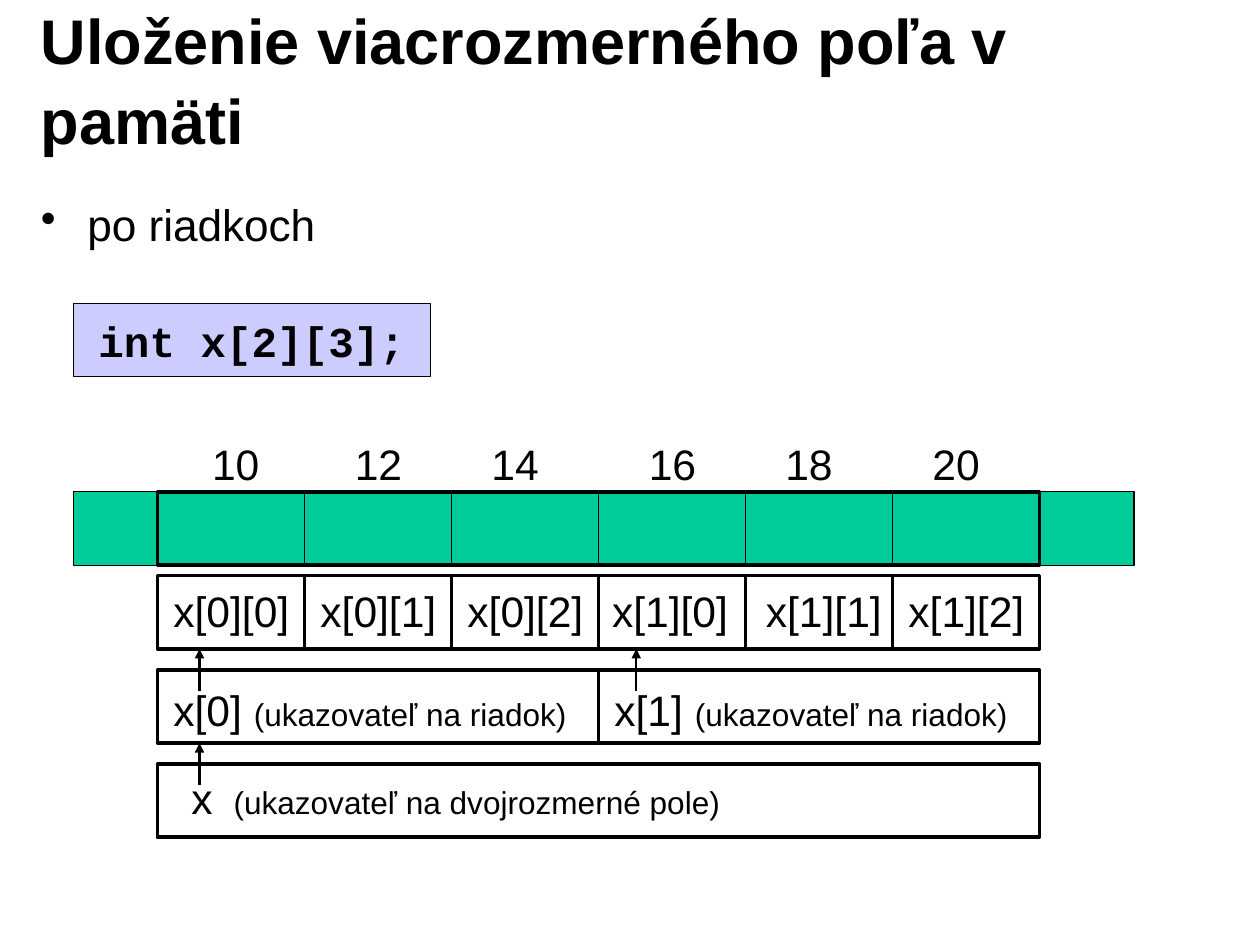
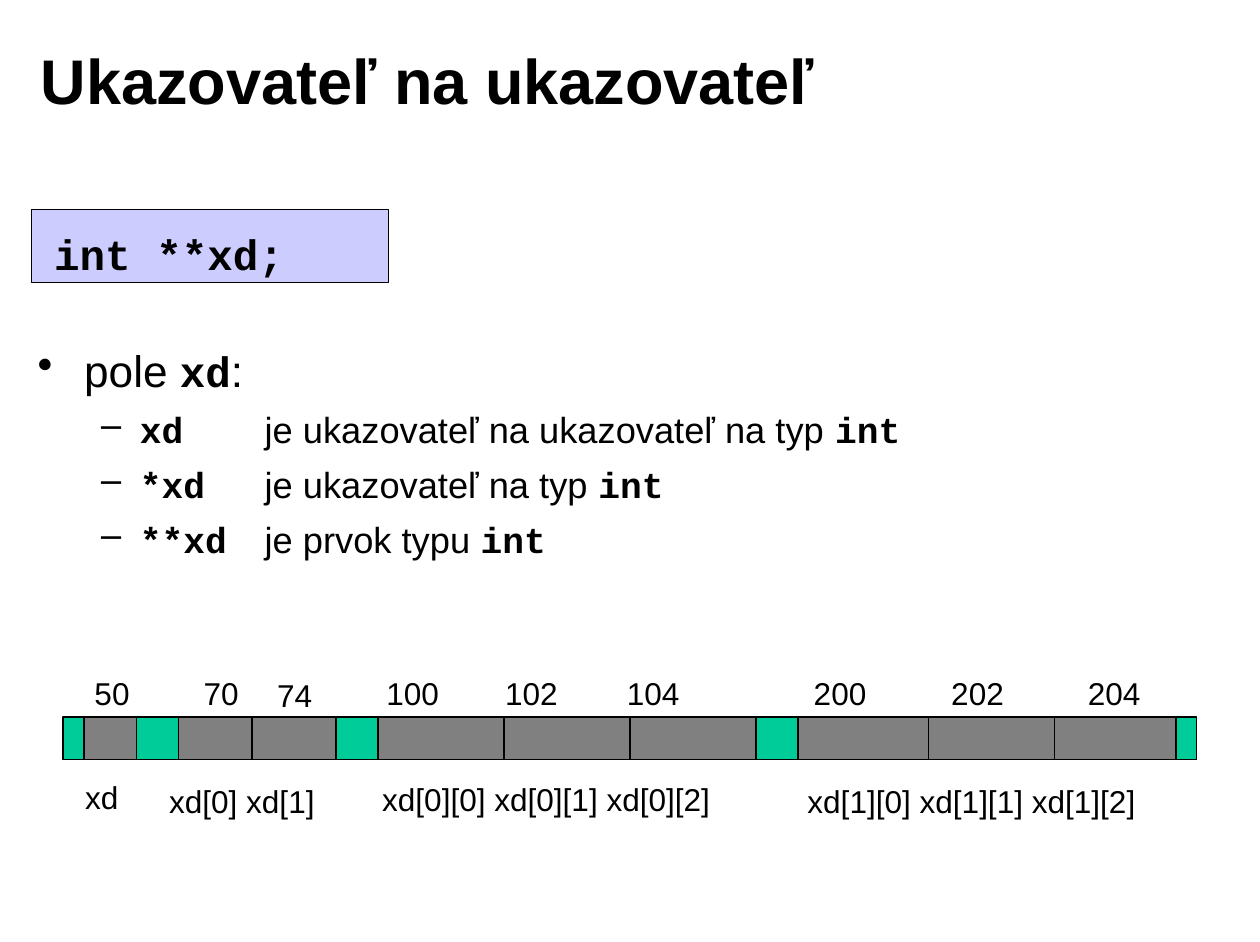
from collections import namedtuple
from itertools import accumulate

from lxml.etree import SubElement
from pptx import Presentation
from pptx.dml.color import RGBColor
from pptx.enum.shapes import MSO_CONNECTOR, MSO_SHAPE
from pptx.enum.text import MSO_ANCHOR, PP_ALIGN
from pptx.oxml.ns import qn
from pptx.util import Inches, Pt

WIDTH, HEIGHT = 11.1, 8.3
COLUMNS, ROWS = 120, 90
COLORS = {"ink": "000000", "code": "CCCCFF", "memory": "00CC99", "used": "808080"}
SANS, MONO = "Arial", "Courier New"
LINE_SPACING = 1.05
THIN, MEDIUM, THICK = 0.75, 1.5, 2.25

Box = namedtuple("Box", "left top width height")
Span = namedtuple("Span", "text size font bold", defaults=(SANS, False))
Level = namedtuple("Level", "mark margin hanging before")
LEVELS = [Level("•", 0.41, 0.41, 7), Level("–", 0.9, 0.34, 5.8)]
TITLE_BOX = Box(2.7, 1.85, 96.3, 11.1)


def across(columns):
    return Inches(columns * WIDTH / COLUMNS)


def down(rows):
    return Inches(rows * HEIGHT / ROWS)


def place(box):
    return across(box.left), down(box.top), across(box.width), down(box.height)


def color(name):
    return RGBColor.from_string(COLORS[name])


def set_frame(shape, insets=(0, 0), anchor=MSO_ANCHOR.TOP):
    frame = shape.text_frame
    frame.word_wrap = True
    frame.vertical_anchor = anchor
    frame.margin_left, frame.margin_top = map(Inches, insets)
    frame.margin_right = frame.margin_bottom = 0
    return frame


def write(para, spans, tab=None):
    para.alignment = PP_ALIGN.LEFT
    para.line_spacing = LINE_SPACING
    if tab:
        stops = SubElement(para._p.get_or_add_pPr(), qn("a:tabLst"))
        SubElement(stops, qn("a:tab"), pos=str(Inches(tab)), algn="l")
    for span in spans:
        run = para.add_run()
        run.text = span.text
        run.font.size = Pt(span.size)
        run.font.name = span.font
        run.font.bold = span.bold
        run.font.color.rgb = color("ink")


def add_label(page, left, top, text, size, width=30):
    shape = page.shapes.add_textbox(*place(Box(left, top, width, 6)))
    write(set_frame(shape).paragraphs[0], [Span(text, size)])


def add_cell(page, box, fill=None, weight=THIN, spans=(), insets=(0, 0), tab=None):
    shape = page.shapes.add_shape(MSO_SHAPE.RECTANGLE, *place(box))
    shape.shadow.inherit = False
    if fill:
        shape.fill.solid()
        shape.fill.fore_color.rgb = color(fill)
    else:
        shape.fill.background()
    shape.line.color.rgb = color("ink")
    shape.line.width = Pt(weight)
    if spans:
        write(set_frame(shape, insets).paragraphs[0], spans, tab)


def add_line(page, column, start, end, weight=THIN, arrow=False):
    line = page.shapes.add_connector(
        MSO_CONNECTOR.STRAIGHT, across(column), down(start), across(column), down(end))
    line.line.color.rgb = color("ink")
    line.line.width = Pt(weight)
    if arrow:
        SubElement(line.line._get_or_add_ln(), qn("a:tailEnd"), type="triangle")
    SubElement(line._element.spPr, qn("a:effectLst"))


def add_title(page, text):
    shape = page.shapes.add_textbox(*place(TITLE_BOX))
    frame = set_frame(shape, (0.11, 0), MSO_ANCHOR.MIDDLE)
    frame.margin_right = Inches(0.11)
    write(frame.paragraphs[0], [Span(text, 40, SANS, True)])


def add_code(page, box, text, insets):
    add_cell(page, box, "code", THIN, [Span(text, 27, MONO, True)], insets)


def add_bullets(page, box, items, tab=None):
    frame = set_frame(page.shapes.add_textbox(*place(box)), (0.11, 0.06))
    for index, (depth, spans) in enumerate(items):
        para = frame.add_paragraph() if index else frame.paragraphs[0]
        level = LEVELS[depth]
        para.level = depth
        properties = para._p.get_or_add_pPr()
        properties.set("marL", str(Inches(level.margin)))
        properties.set("indent", str(-Inches(level.hanging)))
        SubElement(properties, qn("a:buChar"), char=level.mark)
        write(para, spans, tab if depth else None)
        if index:
            para.space_before = Pt(level.before)


def add_array_memory(page, box):
    cell = 14
    first = box.left + 8
    add_cell(page, box, "memory")
    for index in range(1, 6):
        add_line(page, first + index * cell, box.top, box.top + box.height)
    add_cell(page, Box(first, box.top, 6 * cell, box.height), None, THICK)

    label_shifts = [5.2, 4.8, 3.8, 4.8, 3.8, 3.8]
    text_insets = [0.14, 0.14, 0.14, 0.12, 0.18, 0.14]
    for index, (shift, inset) in enumerate(zip(label_shifts, text_insets)):
        left = first + index * cell
        add_label(page, left + shift, box.top - 5.4, str(10 + 2 * index), 27, 10)
        name = f"x[{index // 3}][{index % 3}]"
        add_cell(page, Box(left, box.top + 8, cell, box.height), None, THICK,
                 [Span(name, 27)], (inset, 0.06))

    row_top = box.top + 17
    for index in range(2):
        add_cell(page, Box(first + index * 3 * cell, row_top, 3 * cell, box.height),
                 None, THICK,
                 [Span(f"x[{index}] ", 27), Span("(ukazovateľ na riadok)", 20)],
                 (0.14, 0.1))
    array_top = row_top + 9
    add_cell(page, Box(first, array_top, 6 * cell, box.height), None, THICK,
             [Span("x", 27), Span("\t(ukazovateľ na dvojrozmerné pole)", 20)],
             (0.3, 0.05), 0.37)
    for shift, top in [(4, row_top), (45.6, row_top), (4, array_top)]:
        add_line(page, first + shift, top + 2, top - 2, MEDIUM, True)


def add_pointer_memory(page, box):
    widths = [2, 5, 4, 15, 4, 36, 4, 36, 2]
    lefts = accumulate(widths[:-1], initial=box.left)
    for index, (left, width) in enumerate(zip(lefts, widths)):
        add_cell(page, Box(left, box.top, width, box.height),
                 "used" if index % 2 else "memory")
    for shift in [18, 42, 54, 82.4, 94.4]:
        add_line(page, box.left + shift, box.top, box.top + box.height)

    addresses = [(3, 50), (13.4, 70), (20.4, 74), (30.8, 100), (42.1, 102),
                 (53.7, 104), (71.5, 200), (84.6, 202), (97.6, 204)]
    for shift, address in addresses:
        rise = 4.1 if address == 74 else 4.3
        add_label(page, box.left + shift, box.top - rise, str(address), 20, 10)
    names = [(2.1, 5.6, "xd"), (10.1, 6, "xd[0] xd[1]"),
             (30.4, 5.8, "xd[0][0] xd[0][1] xd[0][2]"),
             (70.9, 6, "xd[1][0] xd[1][1] xd[1][2]")]
    for shift, drop, name in names:
        add_label(page, box.left + shift, box.top + drop, name, 20, 36)


def build_array_page(page):
    add_title(page, "Uloženie viacrozmerného poľa v pamäti")
    add_bullets(page, Box(2.7, 18, 115, 11), [(0, [Span("po riadkoch", 28)])])
    add_code(page, Box(7, 29, 34, 7), "int x[2][3];", (0.22, 0.08))
    add_array_memory(page, Box(7, 47, 101, 7))


def build_pointer_page(page):
    add_title(page, "Ukazovateľ na ukazovateľ")
    add_pointer_memory(page, Box(6, 68.5, 108, 4.1))
    add_code(page, Box(3, 20, 34, 7), "int **xd;", (0.2, 0.14))
    meanings = [("xd", "je ukazovateľ na ukazovateľ na typ "),
                ("*xd", "je ukazovateľ na typ "),
                ("**xd", "je prvok typu ")]
    items = [(0, [Span("pole ", 28), Span("xd", 27, MONO, True), Span(":", 28)])]
    items += [(1, [Span(f"{name}\t", 23, MONO, True), Span(meaning, 23),
                   Span("int", 23, MONO, True)]) for name, meaning in meanings]
    add_bullets(page, Box(2.4, 31.9, 115, 22), items, 2)


def main():
    deck = Presentation()
    deck.slide_width, deck.slide_height = Inches(WIDTH), Inches(HEIGHT)
    for build in (build_array_page, build_pointer_page):
        build(deck.slides.add_slide(deck.slide_layouts[6]))
    deck.save("out.pptx")


if __name__ == "__main__":
    main()
